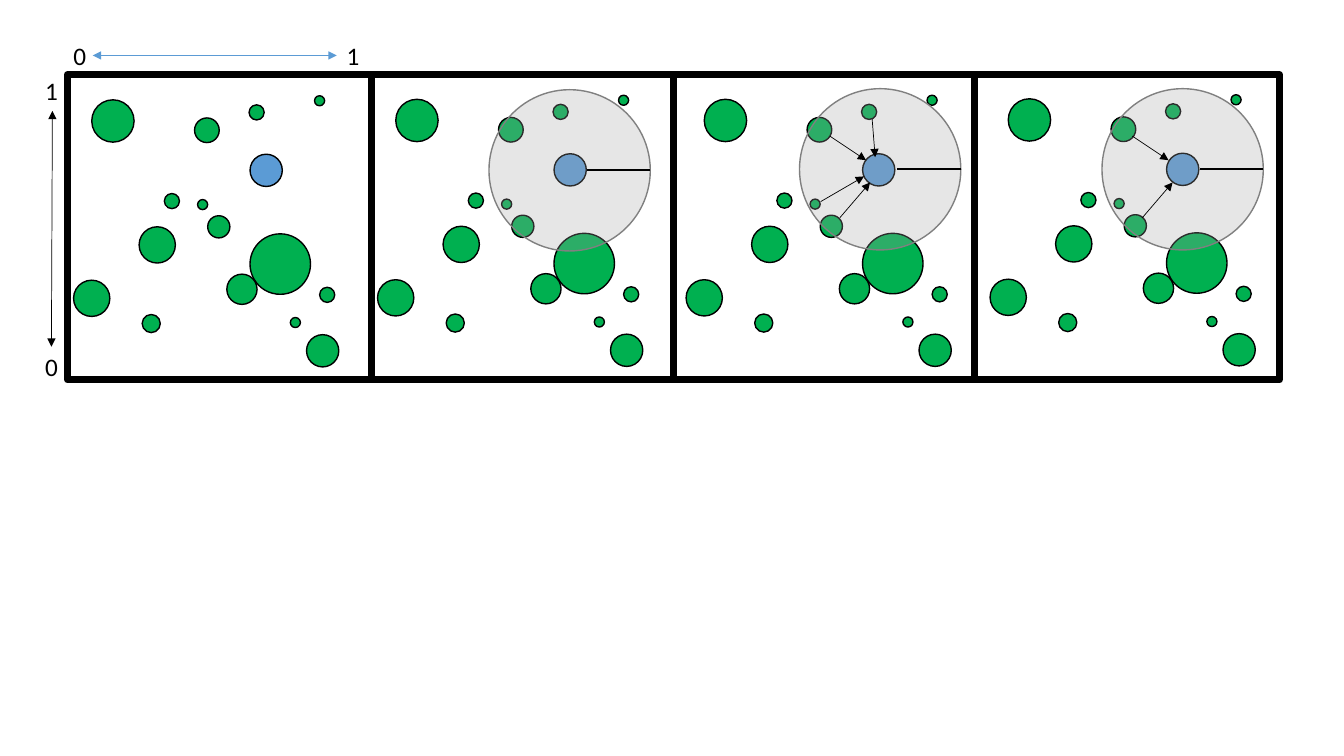
import pptx
import pptx.util
import pptx.dml.color
import pptx.enum.shapes
import pptx.enum.text
import pptx.oxml
import pptx.oxml.ns

COLS, ROWS = 1333, 750
CELL = pptx.util.Inches(0.01)
COLORS = {
    "black": "000000",
    "point": "00B050",
    "query": "5B9BD5",
    "reach": "A6A6A6",
    "reach_edge": "808080",
}
LABEL_FRAME = {
    "word_wrap": False,
    "auto_size": pptx.enum.text.MSO_AUTO_SIZE.SHAPE_TO_FIT_TEXT,
}
LABEL_FONT = {"name": "Calibri", "size": pptx.util.Pt(18)}

FRAME = (67, 74, 1202, 303)
DIVIDERS = [(368, 72), (668, 74), (967, 72)]
PANELS = [(0, 0), (301.5, -0.5), (607.5, -0.5), (909, -1)]
POINTS = [
    (91, 99, 42), (206, 214, 22), (163, 192, 15), (138, 225, 36),
    (141, 312, 18), (304, 332, 32), (317, 285, 15), (225, 272, 30),
    (312, 95, 10), (288, 315, 10), (196, 198, 10), (248, 232, 60),
    (73, 278, 36), (193, 117, 24.5), (247, 104, 15),
]
QUERY = (248, 153, 32)
REACH_SIZE = 160
ARROWS = {
    "below": (40, 128, 70, 93),
    "left": (21, 112, 64, 87),
    "upper left": (30, 47, 66, 71),
    "above": (72, 30, 75, 68),
}
REACHES = [
    (485, 89, []),
    (793, 88, ["below", "left", "upper left", "above"]),
    (1093, 88, ["below", "upper left"]),
]
LABELS = [("0", 35, 344), ("1", 35, 70), ("0", 63, 35), ("1", 334, 35)]
AXES = [((51, 344, 52, 110), "black"), ((92, 55, 334, 55), "query")]


def grid(*cells):
    return [round(c * CELL) for c in cells]


def rgb(name):
    return pptx.dml.color.RGBColor.from_string(COLORS[name])


def add_xml(parent, tag, **attrs):
    return pptx.oxml.ns and parent.makeelement(pptx.oxml.ns.qn(tag), attrs)


def set_line(obj, color, width):
    obj.line.color.rgb = rgb(color)
    obj.line.width = pptx.util.Pt(width)


def add_outline(s, kind, box, fill, line, width, alpha=None):
    sp = s.shapes.add_shape(kind, *grid(*box))
    sp.shadow.inherit = False
    if fill:
        sp.fill.solid()
        sp.fill.fore_color.rgb = rgb(fill)
    else:
        sp.fill.background()
    if alpha:
        clr = sp.fill._xPr.find(".//" + pptx.oxml.ns.qn("a:srgbClr"))
        clr.append(add_xml(clr, "a:alpha", val=str(alpha * 1000)))
    set_line(sp, line, width)


def add_circle(s, x, y, size, fill, line="black", alpha=None):
    oval = pptx.enum.shapes.MSO_SHAPE.OVAL
    add_outline(s, oval, (x, y, size, size), fill, line, 1, alpha)


def add_line(s, ends, width, color="black", heads=()):
    straight = pptx.enum.shapes.MSO_CONNECTOR.STRAIGHT
    cxn = s.shapes.add_connector(straight, *grid(*ends))
    set_line(cxn, color, width)
    ln = cxn.line._get_or_add_ln()
    for head in heads:
        ln.append(add_xml(ln, head, type="triangle"))
    spPr = cxn._element.spPr
    spPr.append(add_xml(spPr, "a:effectLst"))


def add_label(s, text, x, y):
    tf = s.shapes.add_textbox(*grid(x, y, 29, 40)).text_frame
    for name, value in LABEL_FRAME.items():
        setattr(tf, name, value)
    r = tf.paragraphs[0].add_run()
    r.text = text
    for name, value in LABEL_FONT.items():
        setattr(r.font, name, value)
    r.font.color.rgb = rgb("black")


def add_panel(s, dx, dy):
    for x, y, size in POINTS:
        add_circle(s, x + dx, y + dy, size, "point")
    x, y, size = QUERY
    add_circle(s, x + dx, y + dy, size, "query")


def add_reach(s, x, y, arrows):
    add_circle(s, x, y, REACH_SIZE, "reach", "reach_edge", 27)
    middle = y + REACH_SIZE / 2
    add_line(s, (x + REACH_SIZE, middle, x + 97, middle), 1.25)
    for name in arrows:
        x1, y1, x2, y2 = ARROWS[name]
        add_line(s, (x + x1, y + y1, x + x2, y + y2), 0.5, heads=["a:tailEnd"])


def main():
    prs = pptx.Presentation()
    prs.slide_width, prs.slide_height = grid(COLS, ROWS)
    s = prs.slides.add_slide(prs.slide_layouts[6])
    add_outline(s, pptx.enum.shapes.MSO_SHAPE.RECTANGLE, FRAME, None, "black", 5)
    for x, y in DIVIDERS:
        add_line(s, (x, y, x, y + 303), 5)
    for dx, dy in PANELS:
        add_panel(s, dx, dy)
    for text, x, y in LABELS:
        add_label(s, text, x, y)
    for ends, color in AXES:
        add_line(s, ends, 0.5, color, ["a:headEnd", "a:tailEnd"])
    for x, y, arrows in REACHES:
        add_reach(s, x, y, arrows)
    prs.save("out.pptx")


if __name__ == "__main__":
    main()
